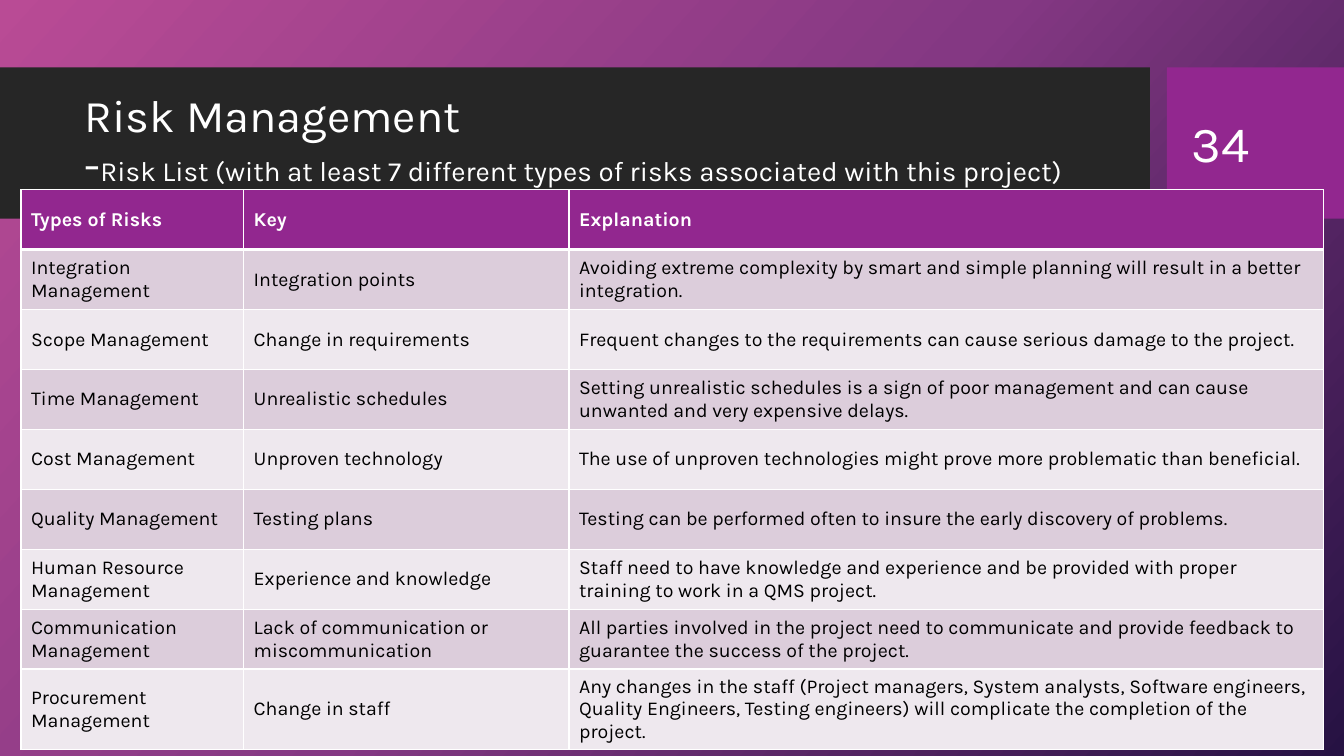
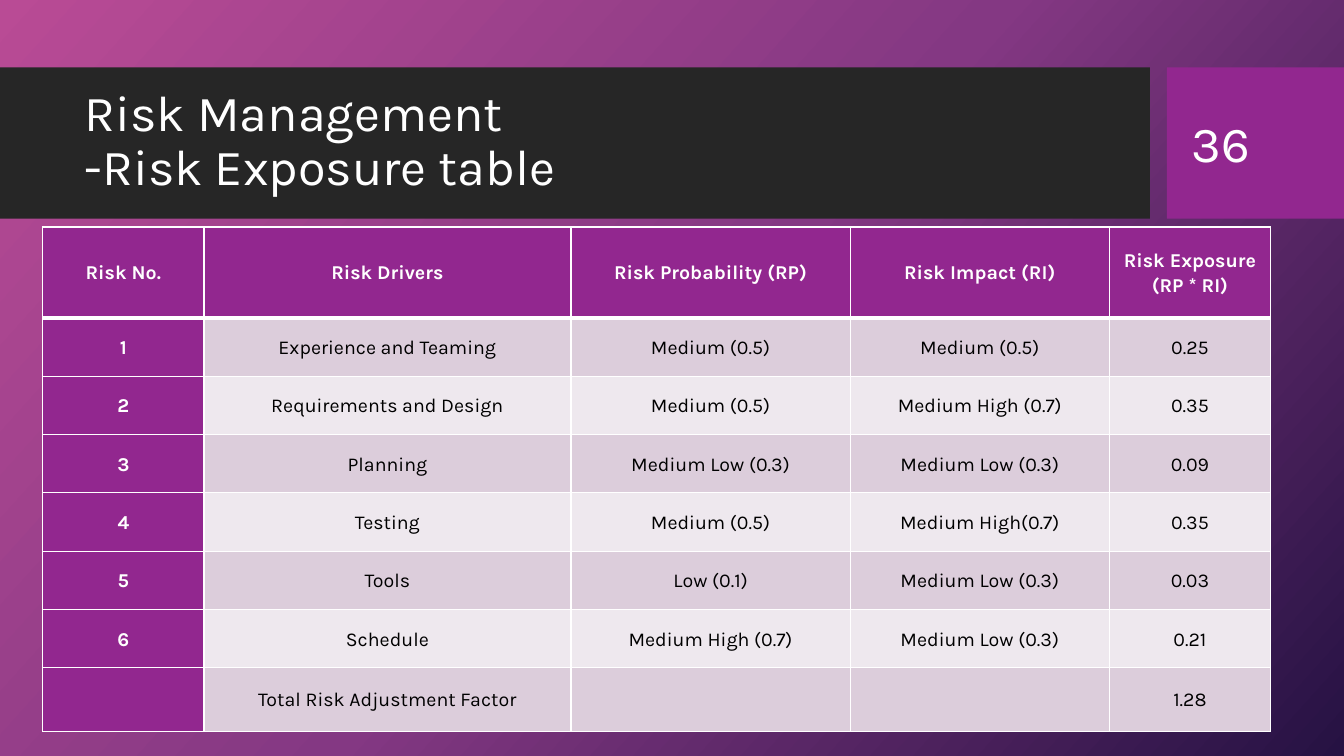
"""Build two risk management slides: a risk list and a risk exposure table."""
from copy import deepcopy
from dataclasses import dataclass

from lxml import etree
from pptx import Presentation
from pptx import util as u
from pptx.dml import color
from pptx.enum import shapes, text
from pptx.oxml import ns

FONT = "Karla"
WHITE = color.RGBColor(0xFF, 0xFF, 0xFF)
BLACK = color.RGBColor(0x00, 0x00, 0x00)
CHARCOAL = color.RGBColor(0x26, 0x26, 0x26)
PURPLE = color.RGBColor(0x92, 0x27, 0x8F)
BANDS = (color.RGBColor(0xDC, 0xCD, 0xDB), color.RGBColor(0xEE, 0xE8, 0xEE))
BACKDROP = (
    (0, color.RGBColor(0xB9, 0x4B, 0x95)),
    (0.5, color.RGBColor(0x84, 0x38, 0x83)),
    (1, color.RGBColor(0x26, 0x12, 0x43)),
)
THIN, THICK = u.Pt(1), u.Pt(3)


@dataclass(frozen=True)
class Box:
    """A rectangle in centimetres."""

    left: float
    top: float
    width: float
    height: float

    def lengths(self) -> tuple:
        """Return the four lengths in the order python-pptx takes them."""
        return tuple(u.Cm(n) for n in (self.left, self.top, self.width, self.height))


@dataclass(frozen=True)
class TitlePart:
    """A stretch of title text in one size."""

    words: str
    size: float


@dataclass(frozen=True)
class TableSpec:
    """Contents and layout of a table, with its header as first row."""

    left: float
    top: float
    columns: tuple[float, ...]
    heights: tuple[float, ...]
    rows: tuple[tuple[str, ...], ...]
    centred: bool = False
    key_column: bool = False


@dataclass(frozen=True)
class SlideSpec:
    """Everything that differs from slide to slide."""

    number: str
    title: tuple[tuple[TitlePart, ...], ...]
    table: TableSpec


TITLE_BAND = Box(0, 1.7, 28.98, 3.81)
NUMBER_BAND = Box(29.41, 1.7, 4.46, 3.81)
TITLE_BOX = Box(1.88, 2.08, 26.7, 3)
NUMBER_BOX = Box(29.79, 2.08, 3.2, 3.02)

RISK_LIST = TableSpec(
    0.53, 4.78, (5.61, 8.2, 19.02), (1.51,) * 9,
    (
        ("Types of Risks", "Key", "Explanation"),
        ("Integration Management", "Integration points",
         "Avoiding extreme complexity by smart and simple planning will result in a better integration."),
        ("Scope Management", "Change in requirements",
         "Frequent changes to the requirements can cause serious damage to the project."),
        ("Time Management", "Unrealistic schedules",
         "Setting unrealistic schedules is a sign of poor management and can cause unwanted "
         "and very expensive delays."),
        ("Cost Management", "Unproven technology",
         "The use of unproven technologies might prove more problematic than beneficial."),
        ("Quality Management", "Testing plans",
         "Testing can be performed often to insure the early discovery of problems."),
        ("Human Resource Management", "Experience and knowledge",
         "Staff need to have knowledge and experience and be provided with proper training "
         "to work in a QMS project."),
        ("Communication Management", "Lack of communication or miscommunication",
         "All parties involved in the project need to communicate and provide feedback to "
         "guarantee the success of the project."),
        ("Procurement Management", "Change in staff",
         "Any changes in the staff (Project managers, System analysts, Software engineers, "
         "Quality Engineers, Testing engineers) will complicate the completion of the project."),
    ),
)

RISK_EXPOSURE = TableSpec(
    1.08, 5.72, (4.06, 9.25, 7.04, 6.53, 4.06), (2.29,) + (1.47,) * 6 + (1.6,),
    (
        ("Risk No.", "Risk Drivers", "Risk Probability (RP)", "Risk Impact (RI)",
         "Risk Exposure (RP * RI)"),
        ("1", "Experience and Teaming", "Medium (0.5)", "Medium (0.5)", "0.25"),
        ("2", "Requirements and Design", "Medium (0.5)", "Medium High (0.7)", "0.35"),
        ("3", "Planning", "Medium Low (0.3)", "Medium Low (0.3)", "0.09"),
        ("4", "Testing", "Medium (0.5)", "Medium High(0.7)", "0.35"),
        ("5", "Tools", "Low (0.1)", "Medium Low (0.3)", "0.03"),
        ("6", "Schedule", "Medium High (0.7)", "Medium Low (0.3)", "0.21"),
        ("", "Total Risk Adjustment Factor", "", "", "1.28"),
    ),
    centred=True,
    key_column=True,
)

SLIDES = (
    SlideSpec(
        "34",
        (
            (TitlePart("Risk Management", 32.4),),
            (
                TitlePart("-", 32.4),
                TitlePart("Risk List (with at least 7 different types of risks "
                          "associated with this project)", 19.8),
            ),
        ),
        RISK_LIST,
    ),
    SlideSpec(
        "36",
        ((TitlePart("Risk Management", 36),), (TitlePart("-Risk Exposure table", 36),)),
        RISK_EXPOSURE,
    ),
)


def add_run(paragraph, words: str, size: float, ink=WHITE, bold: bool = False) -> None:
    """Append a formatted run to a paragraph."""
    run = paragraph.add_run()
    run.text = words
    run.font.name = FONT
    run.font.size = u.Pt(size)
    run.font.bold = bold
    run.font.color.rgb = ink


def paint_background(master) -> None:
    """Give the master its diagonal three-stop gradient."""
    fill = master.background.fill
    fill.gradient()
    fill.gradient_angle = 318
    stop_list = master.element.xpath(".//p:bg//a:gsLst")[0]
    stop_list.append(deepcopy(stop_list[-1]))
    for stop, (position, shade) in zip(fill.gradient_stops, BACKDROP):
        stop.position = position
        stop.color.rgb = shade


def add_layout_band(layout, slide, box: Box, shade) -> None:
    """Draw a plain band and hand it over to the layout."""
    shape = slide.shapes.add_shape(shapes.MSO_SHAPE.RECTANGLE, *box.lengths())
    shape.shadow.inherit = False
    shape.fill.solid()
    shape.fill.fore_color.rgb = shade
    shape.line.fill.background()
    layout.shapes.element.append(shape.element)


def set_title(slide, lines: tuple[tuple[TitlePart, ...], ...]) -> None:
    """Place the title placeholder and write its lines."""
    title = slide.shapes.title
    title.left, title.top, title.width, title.height = TITLE_BOX.lengths()
    frame = title.text_frame
    frame.word_wrap = True
    frame.auto_size = text.MSO_AUTO_SIZE.NONE
    frame.vertical_anchor = text.MSO_ANCHOR.MIDDLE
    paragraph = frame.paragraphs[0]
    paragraph.alignment = text.PP_ALIGN.LEFT
    paragraph.line_spacing = 0.9
    for index, parts in enumerate(lines):
        if index:
            paragraph.add_line_break()
        for part in parts:
            add_run(paragraph, part.words, part.size)


def add_number(slide, number: str) -> None:
    """Write the slide number on its band."""
    frame = slide.shapes.add_textbox(*NUMBER_BOX.lengths()).text_frame
    frame.word_wrap = True
    frame.vertical_anchor = text.MSO_ANCHOR.MIDDLE
    add_run(frame.paragraphs[0], number, 36)


def set_borders(cell, top: int, bottom: int) -> None:
    """Draw white borders around a cell."""
    properties = cell._tc.get_or_add_tcPr()
    widths = {"a:lnL": THIN, "a:lnR": THIN, "a:lnT": top, "a:lnB": bottom}
    for index, (tag, width) in enumerate(widths.items()):
        line = etree.Element(ns.qn(tag), w=str(int(width)))
        fill = etree.SubElement(line, ns.qn("a:solidFill"))
        etree.SubElement(fill, ns.qn("a:srgbClr"), val=str(WHITE))
        properties.insert(index, line)


def add_table(slide, spec: TableSpec) -> None:
    """Draw a table with a purple header and banded rows."""
    box = Box(spec.left, spec.top, sum(spec.columns), sum(spec.heights))
    table = slide.shapes.add_table(len(spec.rows), len(spec.columns), *box.lengths()).table
    table.first_col = spec.key_column
    for column, width in zip(table.columns, spec.columns):
        column.width = u.Cm(width)
    for row_index, (words_in_row, height) in enumerate(zip(spec.rows, spec.heights)):
        table.rows[row_index].height = u.Cm(height)
        for column_index, words in enumerate(words_in_row):
            cell = table.cell(row_index, column_index)
            strong = row_index == 0 or (spec.key_column and column_index == 0)
            cell.fill.solid()
            cell.fill.fore_color.rgb = PURPLE if strong else BANDS[(row_index - 1) % 2]
            set_borders(cell, THICK if row_index == 1 else THIN,
                        THICK if row_index == 0 else THIN)
            cell.vertical_anchor = text.MSO_ANCHOR.MIDDLE
            paragraph = cell.text_frame.paragraphs[0]
            if spec.centred:
                cell.margin_left = cell.margin_right = u.Cm(0.19)
                cell.margin_top = cell.margin_bottom = 0
                paragraph.alignment = text.PP_ALIGN.CENTER
                paragraph.line_spacing = 1.07
            if words:
                add_run(paragraph, words, 14, WHITE if strong else BLACK, strong)


def main() -> None:
    """Build and save the presentation."""
    presentation = Presentation()
    presentation.slide_width, presentation.slide_height = u.Cm(33.87), u.Cm(19.05)
    paint_background(presentation.slide_master)
    layout = presentation.slide_layouts.get_by_name("Title Only")
    slides = [presentation.slides.add_slide(layout) for _ in SLIDES]
    for box, shade in ((TITLE_BAND, CHARCOAL), (NUMBER_BAND, PURPLE)):
        add_layout_band(layout, slides[0], box, shade)
    for slide, spec in zip(slides, SLIDES):
        set_title(slide, spec.title)
        add_number(slide, spec.number)
        add_table(slide, spec.table)
    presentation.save("out.pptx")


if __name__ == "__main__":
    main()
